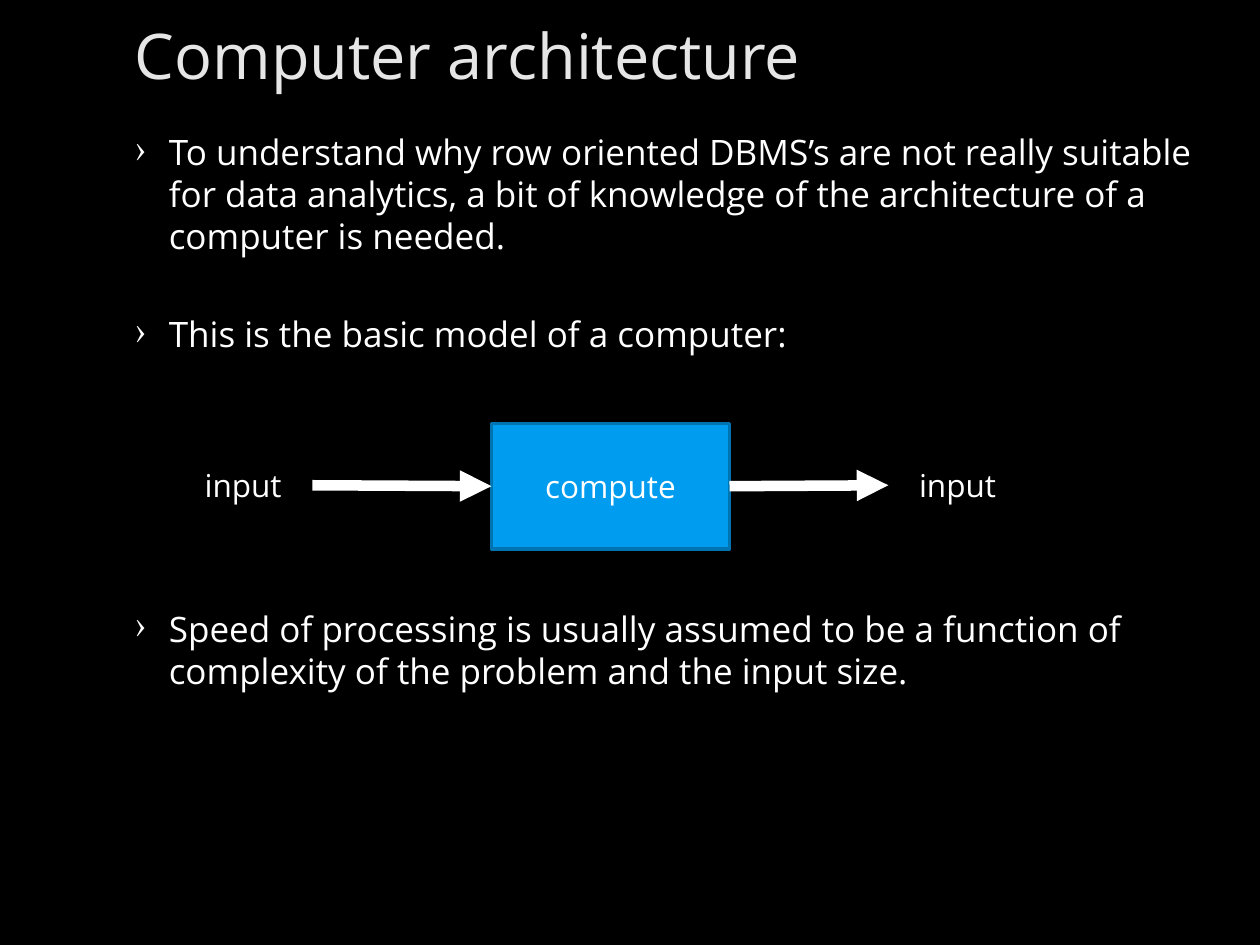
from dataclasses import dataclass

import pptx
import pptx.dml.color
import pptx.enum.shapes
import pptx.enum.text
import pptx.oxml.ns
import pptx.util
from lxml import etree

RGBColor = pptx.dml.color.RGBColor
BLACK = RGBColor(0x00, 0x00, 0x00)
WHITE = RGBColor(0xFF, 0xFF, 0xFF)
PALE_GREY = RGBColor(0xE6, 0xE6, 0xE6)
BLUE = RGBColor(0x00, 0x9C, 0xEF)
DARK_BLUE = RGBColor(0x00, 0x73, 0xB1)

FONT = "Open Sans"
WIDTH = pptx.util.Inches(10)
HEIGHT = pptx.util.Inches(7.5)
LINE_PITCH = 24
PARAGRAPH_GAP = 4
ROW_STEP = LINE_PITCH + PARAGRAPH_GAP
HANGING = pptx.util.Inches(0.27)
MIDDLE = pptx.enum.text.MSO_ANCHOR.MIDDLE
CENTER = pptx.enum.text.PP_ALIGN.CENTER


@dataclass(frozen=True)
class Area:
    left: float
    top: float
    width: float
    height: float

    def lengths(self) -> tuple[int, int, int, int]:
        return (
            round(self.left * WIDTH),
            round(self.top * HEIGHT),
            round(self.width * WIDTH),
            round(self.height * HEIGHT),
        )


@dataclass(frozen=True)
class Bullet:
    text: str
    rows_skipped: int


TITLE_AREA = Area(0, 0, 1, 0.116)
BODY_AREA = Area(0, 0.132, 1, 0.823)
COMPUTE_AREA = Area(0.39, 0.448, 0.189, 0.133)
LABEL_AREAS = [Area(left, 0.447, 0.11, 0.133) for left in (0.138, 0.705)]

BULLETS = [
    Bullet(
        "To understand why row oriented DBMS’s are not really suitable for data "
        "analytics, a bit of knowledge of the architecture of a computer is needed.",
        0,
    ),
    Bullet("This is the basic model of a computer:", 1),
    Bullet(
        "Speed of processing is usually assumed to be a function of complexity "
        "of the problem and the input size.",
        5,
    ),
]


def write(para, text: str, *, size: int, color=WHITE, align=None) -> None:
    para.alignment = align
    span = para.add_run()
    span.text = text
    span.font.name = FONT
    span.font.size = pptx.util.Pt(size)
    span.font.color.rgb = color


def add_text_box(page, area: Area, *, anchor=MIDDLE, left_inset=0.1, right_inset=0.1):
    frame = page.shapes.add_textbox(*area.lengths()).text_frame
    frame.word_wrap = True
    frame.vertical_anchor = anchor
    frame.margin_left = pptx.util.Inches(left_inset)
    frame.margin_right = pptx.util.Inches(right_inset)
    return frame


def add_bullets(page, area: Area, bullets: list[Bullet]) -> None:
    frame = add_text_box(
        page, area, anchor=pptx.enum.text.MSO_ANCHOR.TOP, left_inset=1.07, right_inset=0.3
    )
    for index, bullet in enumerate(bullets):
        para = frame.add_paragraph() if index else frame.paragraphs[0]
        write(para, bullet.text, size=20)
        para.line_spacing = pptx.util.Pt(LINE_PITCH)
        para.space_before = pptx.util.Pt(PARAGRAPH_GAP + bullet.rows_skipped * ROW_STEP)
        properties = para._p.get_or_add_pPr()
        properties.set("marL", str(HANGING))
        properties.set("indent", str(-HANGING))
        mark = etree.SubElement(properties, pptx.oxml.ns.qn("a:buChar"))
        mark.set("char", "›")


def add_compute(page, area: Area) -> None:
    box = page.shapes.add_shape(
        pptx.enum.shapes.MSO_SHAPE.RECTANGLE, *area.lengths()
    )
    box.shadow.inherit = False
    box.fill.solid()
    box.fill.fore_color.rgb = BLUE
    box.line.color.rgb = DARK_BLUE
    box.line.width = pptx.util.Pt(2)
    box.text_frame.vertical_anchor = MIDDLE
    write(box.text_frame.paragraphs[0], "compute", size=18, align=CENTER)


def add_arrow(page, start: tuple[float, float], end: tuple[float, float]) -> None:
    arrow = page.shapes.add_connector(
        pptx.enum.shapes.MSO_CONNECTOR.STRAIGHT,
        round(start[0] * WIDTH),
        round(start[1] * HEIGHT),
        round(end[0] * WIDTH),
        round(end[1] * HEIGHT),
    )
    arrow.line.color.rgb = WHITE
    arrow.line.width = pptx.util.Pt(6)
    head = etree.SubElement(arrow.line._get_or_add_ln(), pptx.oxml.ns.qn("a:tailEnd"))
    head.set("type", "triangle")
    head.set("w", "med")
    head.set("len", "med")
    etree.SubElement(arrow._element.spPr, pptx.oxml.ns.qn("a:effectLst"))


def main() -> None:
    deck = pptx.Presentation()
    deck.slide_width = WIDTH
    deck.slide_height = HEIGHT
    page = deck.slides.add_slide(deck.slide_layouts[6])
    page.background.fill.solid()
    page.background.fill.fore_color.rgb = BLACK

    title = add_text_box(page, TITLE_AREA, left_inset=1.07, right_inset=0.3)
    write(title.paragraphs[0], "Computer architecture", size=36, color=PALE_GREY)
    add_bullets(page, BODY_AREA, BULLETS)
    add_compute(page, COMPUTE_AREA)
    for area in LABEL_AREAS:
        label = add_text_box(page, area)
        write(label.paragraphs[0], "input", size=18, align=CENTER)

    source, target = LABEL_AREAS
    label_middle = source.top + source.height / 2
    compute_middle = COMPUTE_AREA.top + COMPUTE_AREA.height / 2
    compute_right = COMPUTE_AREA.left + COMPUTE_AREA.width
    add_arrow(
        page,
        (source.left + source.width, label_middle),
        (COMPUTE_AREA.left, compute_middle),
    )
    add_arrow(page, (compute_right, compute_middle), (target.left, label_middle))
    deck.save("out.pptx")


if __name__ == "__main__":
    main()
